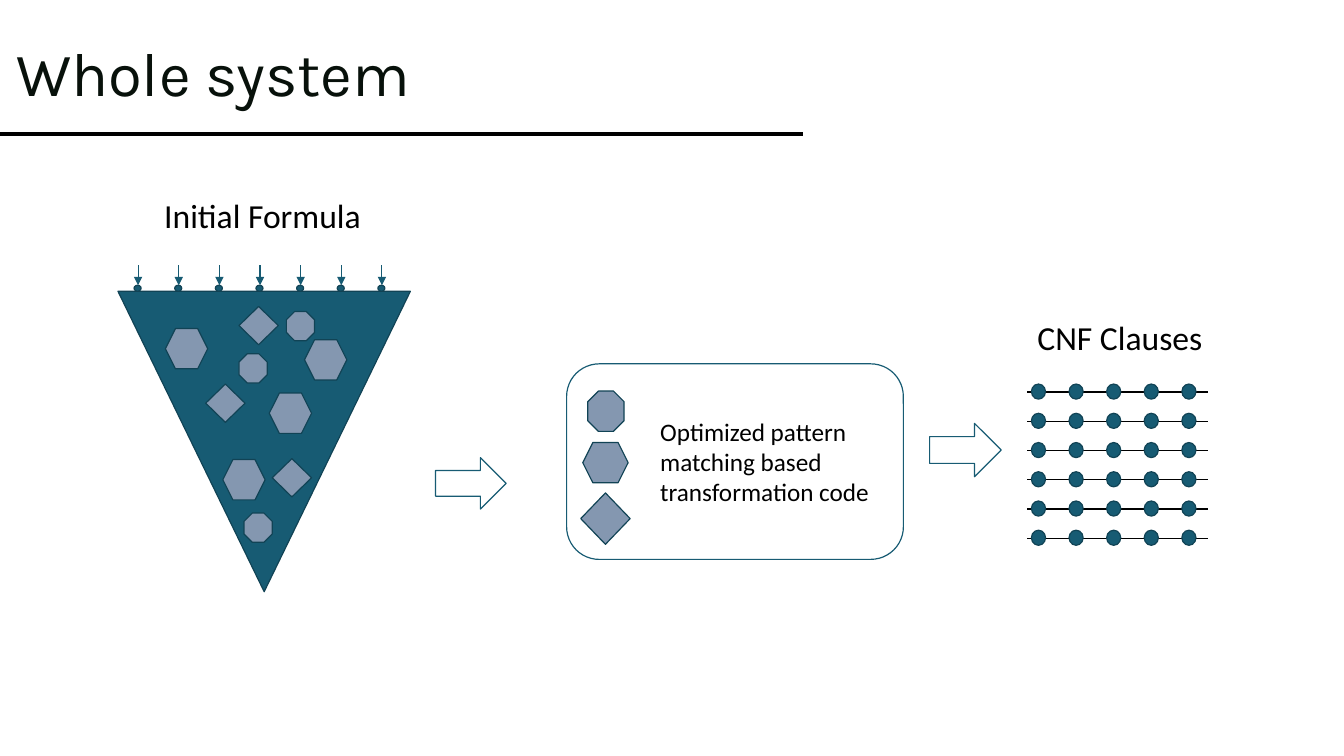
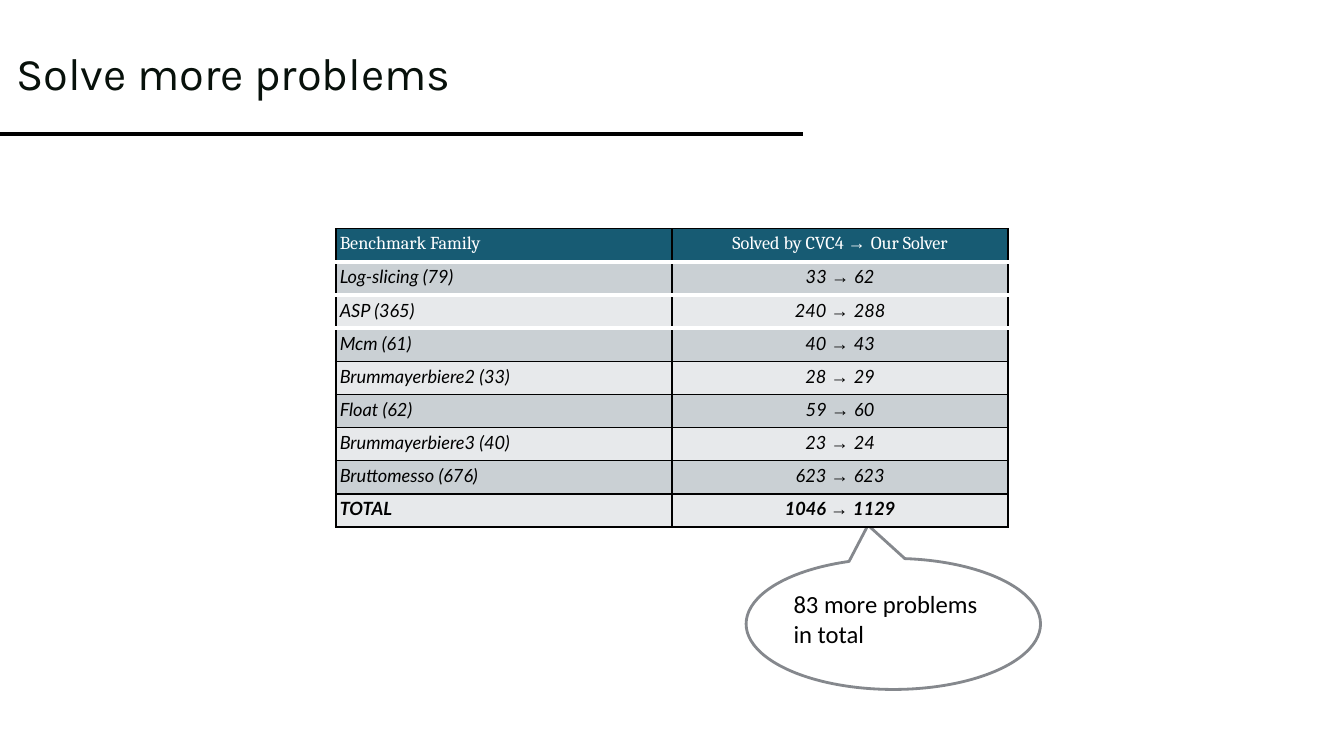
import pptx
import pptx.util
import pptx.dml.color
import pptx.enum.shapes
import pptx.enum.text
import pptx.oxml
import pptx.oxml.ns
from lxml import etree

Inches = pptx.util.Inches
Pt = pptx.util.Pt
KIND = pptx.enum.shapes.MSO_SHAPE
ALIGN = pptx.enum.text.PP_ALIGN
ANCHOR = pptx.enum.text.MSO_ANCHOR
FIT = pptx.enum.text.MSO_AUTO_SIZE

TEAL, EDGE, SLATE = "175B73", "114355", "8497B0"
INK, BLACK, WHITE, GRAY = "08110B", "000000", "FFFFFF", "85888D"
BANDS = ["E7E9EB", "CAD0D4"]
BODY = "Calibri"

ROWS = [
    ("Log-slicing (79)", "33", "62"),
    ("ASP (365)", "240", "288"),
    ("Mcm (61)", "40", "43"),
    ("Brummayerbiere2 (33)", "28", "29"),
    ("Float (62)", "59", "60"),
    ("Brummayerbiere3 (40)", "23", "24"),
    ("Bruttomesso (676)", "623", "623"),
    ("TOTAL", "1046", "1129"),
]


def color(code):
    """Turn a hex string into a colour."""
    return pptx.dml.color.RGBColor.from_string(code)


def draw(slide, kind, box, fill=SLATE, line=EDGE, width=0.85):
    """Add a preset shape in a box of inches."""
    shape = slide.shapes.add_shape(kind, *map(Inches, box))
    shape.shadow.inherit = False
    if fill:
        shape.fill.solid()
        shape.fill.fore_color.rgb = color(fill)
    else:
        shape.fill.background()
    shape.line.color.rgb = color(line)
    shape.line.width = Pt(width)
    return shape


def rule(slide, start, end, tint=BLACK, width=0.85, arrow=False):
    """Add a straight line, with an arrowhead at its end if asked."""
    line = slide.shapes.add_connector(
        pptx.enum.shapes.MSO_CONNECTOR.STRAIGHT, *map(Inches, (*start, *end)))
    line.line.color.rgb = color(tint)
    line.line.width = Pt(width)
    if arrow:
        stroke = line.line._get_or_add_ln()
        etree.SubElement(stroke, pptx.oxml.ns.qn("a:tailEnd"), type="triangle")
    props = line.element.spPr
    etree.SubElement(props, pptx.oxml.ns.qn("a:effectLst"))
    return line


def add_run(para, text, size, face, tint=BLACK, bold=False, slant=False):
    """Add one formatted run to a paragraph."""
    run = para.add_run()
    run.text = text
    run.font.size = Pt(size)
    run.font.name = face
    run.font.color.rgb = color(tint)
    run.font.bold = bold
    run.font.italic = slant


def label(slide, box, text, size, inset=None, wrap=True):
    """Add a plain text box."""
    frame = slide.shapes.add_textbox(*map(Inches, box)).text_frame
    frame.word_wrap = wrap
    if inset is not None:
        frame.margin_left = frame.margin_right = Inches(inset)
        frame.margin_top = frame.margin_bottom = Inches(inset)
        frame.vertical_anchor = ANCHOR.MIDDLE
    add_run(frame.paragraphs[0], text, size, BODY)


def start(deck, text, size):
    """Add a slide with its title and the rule below it."""
    slide = deck.slides.add_slide(deck.slide_layouts[5])
    rule(slide, (0, 1.33), (7.96, 1.33), width=2.25)
    title = slide.shapes.title
    title.left, title.top = Inches(0.06), Inches(0.03)
    title.width, title.height = Inches(7.51), Inches(1.45)
    frame = title.text_frame
    frame.word_wrap = True
    frame.auto_size = FIT.NONE
    frame.vertical_anchor = ANCHOR.MIDDLE
    para = frame.paragraphs[0]
    para.alignment = ALIGN.LEFT
    para.line_spacing = 0.9
    add_run(para, text, size, "Karla", INK)
    return slide


def funnel(slide, left, top):
    """Draw the formula funnel with its inputs and loose parts."""
    body = draw(slide, KIND.ISOSCELES_TRIANGLE, (left, top, 2.9, 2.98), TEAL)
    body.rotation = 180
    for col in range(7):
        mid = left + 0.2 + col * 0.403
        draw(slide, KIND.OVAL, (mid - 0.04, top - 0.06, 0.07, 0.06), TEAL)
        rule(slide, (mid, top - 0.26), (mid, top - 0.06), TEAL, 0.75, True)
    parts = [
        (KIND.HEXAGON, 0.42, 0.4,
         [(0.47, 0.37), (1.5, 1.01), (1.04, 1.67), (1.85, 0.48)]),
        (KIND.DIAMOND, 0.39, 0.38, [(1.2, 0.15), (1.53, 1.66), (0.87, 0.92)]),
        (KIND.OCTAGON, 0.28, 0.29, [(1.2, 0.62), (1.67, 0.2), (1.25, 2.2)]),
    ]
    for kind, wide, high, spots in parts:
        for x, y in spots:
            draw(slide, kind, (left + x, top + y, wide, high))


def matcher(slide, left, top):
    """Draw the box of pattern shapes and its text."""
    draw(slide, KIND.ROUNDED_RECTANGLE, (left, top, 3.34, 1.94), WHITE, TEAL)
    for kind, x, y, wide, high in [
            (KIND.OCTAGON, 0.21, 0.27, 0.36, 0.4),
            (KIND.HEXAGON, 0.16, 0.78, 0.45, 0.4),
            (KIND.DIAMOND, 0.14, 1.28, 0.49, 0.51)]:
        draw(slide, kind, (left + x, top + y, wide, high))
    label(slide, (left + 0.83, top + 0.47, 2.4, 1.01),
          "Optimized pattern matching based transformation code", 18)


def clauses(slide, left, top):
    """Draw rows of beads on lines."""
    for row in range(6):
        y = top + row * 0.29
        rule(slide, (left, y), (left + 1.79, y))
        for col in range(5):
            x = left + 0.04 + col * 0.373
            draw(slide, KIND.OVAL, (x, y - 0.08, 0.14, 0.15), TEAL)


def system(deck):
    """Build the slide that shows the whole system."""
    slide = start(deck, "Whole system", 44)
    funnel(slide, 1.17, 2.89)
    label(slide, (1.53, 1.88, 3.11, 0.5), "Initial Formula", 24)
    matcher(slide, 5.62, 3.61)
    for box in [(4.32, 4.54, 0.7, 0.51), (9.22, 4.2, 0.71, 0.53)]:
        draw(slide, KIND.RIGHT_ARROW, box, WHITE, TEAL)
    clauses(slide, 10.19, 3.89)
    label(slide, (10.19, 3.09, 1.85, 0.5), "CNF Clauses", 24, wrap=False)


def border(cell, side, tint, width):
    """Set one border of a cell."""
    props = cell._tc.get_or_add_tcPr()
    props.append(pptx.oxml.parse_xml(
        f'<a:{side} {pptx.oxml.ns.nsdecls("a")} w="{Pt(width)}">'
        f'<a:solidFill><a:srgbClr val="{tint}"/></a:solidFill></a:{side}>'))


def fill_cell(cell, row, runs, centre):
    """Fill a cell with its borders, shade and runs."""
    above = (WHITE, 3) if 1 <= row <= 3 else (BLACK, 1)
    below = (WHITE, 3) if row <= 2 else (BLACK, 1)
    edges = [(BLACK, 1.5), (BLACK, 1.5), above, below]
    for side, edge in zip(["lnL", "lnR", "lnT", "lnB"], edges):
        border(cell, side, *edge)
    cell.fill.solid()
    cell.fill.fore_color.rgb = color(BANDS[row % 2] if row else TEAL)
    cell.margin_left = cell.margin_right = Inches(0.04)
    cell.margin_top = cell.margin_bottom = Inches(0.04)
    para = cell.text_frame.paragraphs[0]
    para.alignment = ALIGN.CENTER if centre else ALIGN.LEFT
    last = row == len(ROWS)
    for text in runs:
        arrow = text == "→ "
        face = "Arial" if arrow else "Lato" if row else "Cambria"
        add_run(para, text, 13, face, BLACK if row else WHITE,
                last, row > 0 and not arrow)


def scores(slide, left, top):
    """Build the table of solved problems."""
    data = [("Benchmark Family", "Solved by CVC4", "Our Solver"), *ROWS]
    size = map(Inches, (left, top, 6.67, 2.96))
    grid = slide.shapes.add_table(len(data), 2, *size).table
    for row, (name, old, new) in enumerate(data):
        fill_cell(grid.cell(row, 0), row, [name], False)
        fill_cell(grid.cell(row, 1), row, [old + " ", "→ ", new], True)


def callout(slide, left, top):
    """Draw the callout with its remark."""
    bubble = draw(slide, KIND.OVAL_CALLOUT, (left, top, 2.92, 1.3),
                  None, GRAY, 2)
    bubble.adjustments[0] = -0.086
    bubble.adjustments[1] = -0.754
    label(slide, (left + 0.43, top + 0.26, 2.12, 0.67),
          "83 more problems in total", 17.6, 0.04)


def results(deck):
    """Build the slide that compares the solvers."""
    slide = start(deck, "Solve more problems", 32.3)
    callout(slide, 7.4, 5.54)
    scores(slide, 3.33, 2.27)


def main():
    """Build and save the deck."""
    deck = pptx.Presentation()
    deck.slide_width, deck.slide_height = Inches(13.33), Inches(7.5)
    system(deck)
    results(deck)
    deck.save("out.pptx")


if __name__ == "__main__":
    main()
